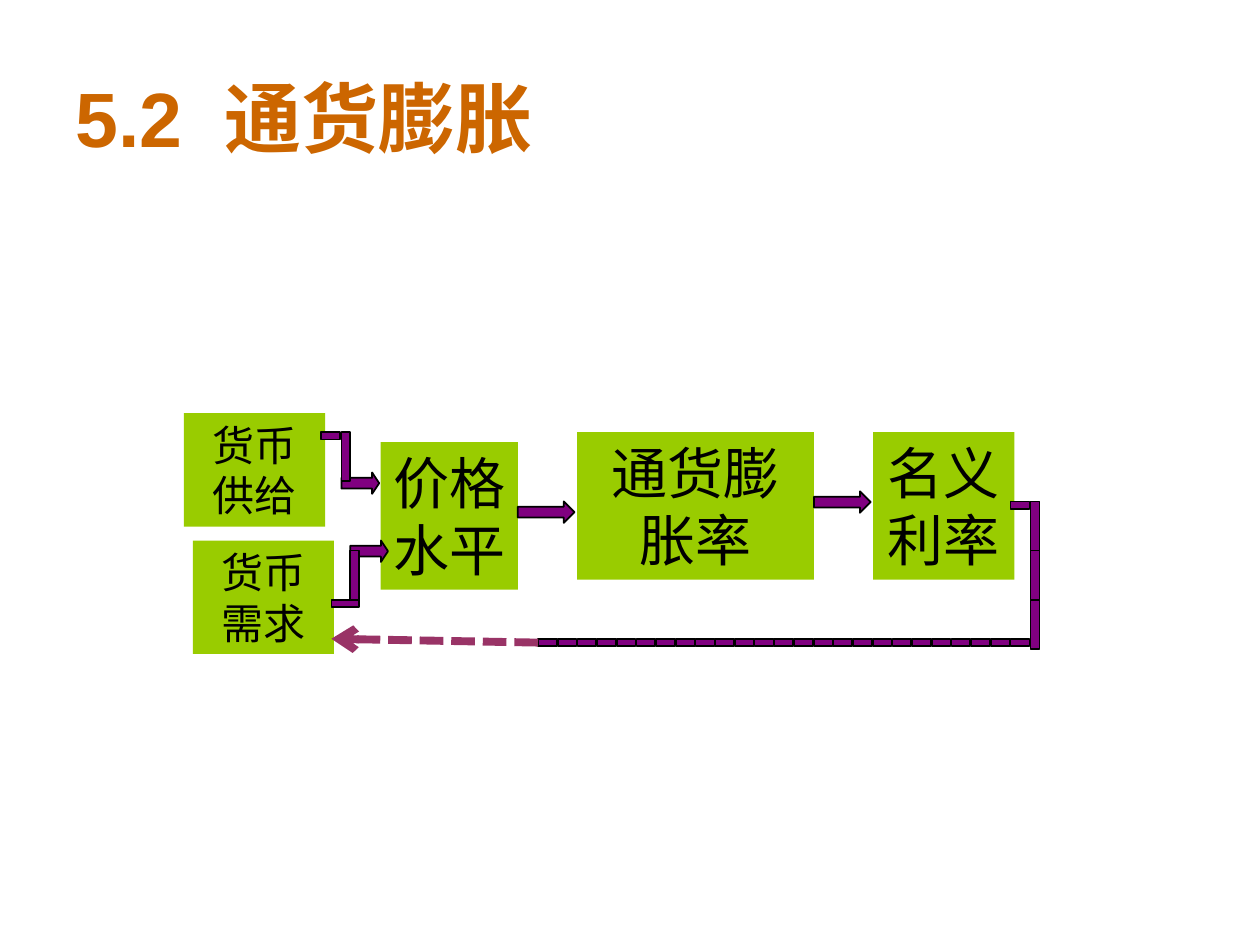
"""Build the slide on inflation: a flow from money supply and demand to interest rates."""
import pptx
import pptx.util
import pptx.dml.color
import pptx.enum.dml
import pptx.enum.shapes
import pptx.enum.text
import pptx.oxml
import pptx.oxml.ns

Inches, Pt = pptx.util.Inches, pptx.util.Pt
SHAPE = pptx.enum.shapes.MSO_SHAPE
ALIGN = pptx.enum.text.PP_ALIGN
ANCHOR = pptx.enum.text.MSO_ANCHOR

COLORS = {"title": "CC6600", "box": "99CC00", "text": "000000",
          "flow": "800080", "outline": "000000", "feedback": "993366"}
TITLE = [("5.2", "Arial"), (" ", "Arial"), ("通货膨胀", "Arial")]
TITLE_GAP = 12
CONCEPTS = [
    ([("货币", "Times New Roman"), ("供给", "Arial")], 24, (1.46, 3.28, 1.12, 0.9)),
    ([("货币", "Times New Roman"), ("需求", "Arial")], 24, (1.53, 4.29, 1.12, 0.9)),
    ([("价格水平", "Times New Roman")], 32, (3.02, 3.51, 1.09, 1.17)),
    ([("通货膨胀率", "Times New Roman")], 32, (4.58, 3.43, 1.88, 1.17)),
    ([("名义利率", "Times New Roman")], 32, (6.93, 3.43, 1.12, 1.17)),
]
FLOW_ARROWS = [
    ((2.78, 4.29, 0.3, 0.17), 0.33), ((2.71, 3.75, 0.3, 0.17), 0.33),
    ((6.46, 3.9, 0.45, 0.17), 0.5), ((4.11, 3.98, 0.45, 0.17), 0.5),
]
ELBOWS = [(2.63, 4.76, 0.22, 0.06), (2.78, 4.37, 0.07, 0.39),
          (2.71, 3.43, 0.07, 0.39), (2.55, 3.43, 0.15, 0.06),
          (8.02, 3.98, 0.15, 0.06)]
RETURN_DROP = [(8.18, 3.98 + 0.39 * step, 0.07, 0.39) for step in range(3)]
RETURN_START, RETURN_END, RETURN_COUNT = 4.27, 8.02, 25
RETURN_STEP = (RETURN_END - RETURN_START) / (RETURN_COUNT - 1)
RETURN_TRACK = [(RETURN_START + RETURN_STEP * step, 5.07, 0.15, 0.06)
                for step in range(RETURN_COUNT)]
FEEDBACK_TIP = (2.63, 5.07)


def rgb(name):
    return pptx.dml.color.RGBColor.from_string(COLORS[name])


def add_block(slide, place, fill, kind=SHAPE.RECTANGLE, outline=None):
    block = slide.shapes.add_shape(kind, *map(Inches, place))
    block.shadow.inherit = False
    block.fill.solid()
    block.fill.fore_color.rgb = rgb(fill)
    if outline:
        block.line.color.rgb = rgb(outline)
        block.line.width = Pt(1)
    else:
        block.line.fill.background()
    return block


def write(holder, runs, size, color, bold=False, align=ALIGN.LEFT, anchor=ANCHOR.TOP):
    frame = holder.text_frame
    frame.word_wrap = True
    frame.vertical_anchor = anchor
    paragraph = frame.paragraphs[0]
    paragraph.alignment = align
    for text, font in runs:
        run = paragraph.add_run()
        run.text = text
        run.font.name = font
        run.font.size = Pt(size)
        run.font.bold = bold
        run.font.color.rgb = rgb(color)
    return paragraph


def add_feedback(slide, track_start):
    feedback = slide.shapes.add_connector(
        pptx.enum.shapes.MSO_CONNECTOR.STRAIGHT, Inches(RETURN_START), Inches(5.1),
        *map(Inches, FEEDBACK_TIP))
    feedback.begin_connect(track_start, 1)
    feedback.line.color.rgb = rgb("feedback")
    feedback.line.width = Pt(4.5)
    feedback.line.dash_style = pptx.enum.dml.MSO_LINE.SQUARE_DOT
    qn = pptx.oxml.ns.qn
    tail = feedback.line._get_or_add_ln().makeelement(qn("a:tailEnd"), {"type": "arrow"})
    feedback.line._get_or_add_ln().append(tail)
    properties = feedback._element.spPr
    properties.append(properties.makeelement(qn("a:effectLst"), {}))


def main():
    deck = pptx.Presentation()
    deck.slide_width, deck.slide_height = Inches(10), Inches(7.5)
    slide = deck.slides.add_slide(deck.slide_layouts[6])

    title = slide.shapes.add_textbox(*map(Inches, (0.5, 0.3, 9, 1.25)))
    heading = write(title, TITLE, 44, "title", bold=True, anchor=ANCHOR.MIDDLE)
    heading.runs[1]._r.get_or_add_rPr().set("spc", str(TITLE_GAP * 100))

    for runs, size, place in CONCEPTS:
        write(add_block(slide, place, "box"), runs, size, "text", align=ALIGN.CENTER)
    for place, head in FLOW_ARROWS:
        arrow = add_block(slide, place, "flow", SHAPE.RIGHT_ARROW, "outline")
        arrow.adjustments[1] = head
    for place in ELBOWS + RETURN_DROP:
        add_block(slide, place, "flow", outline="outline")
    track = [add_block(slide, place, "flow", outline="outline") for place in RETURN_TRACK]
    add_feedback(slide, track[0])

    deck.save("out.pptx")


if __name__ == "__main__":
    main()
